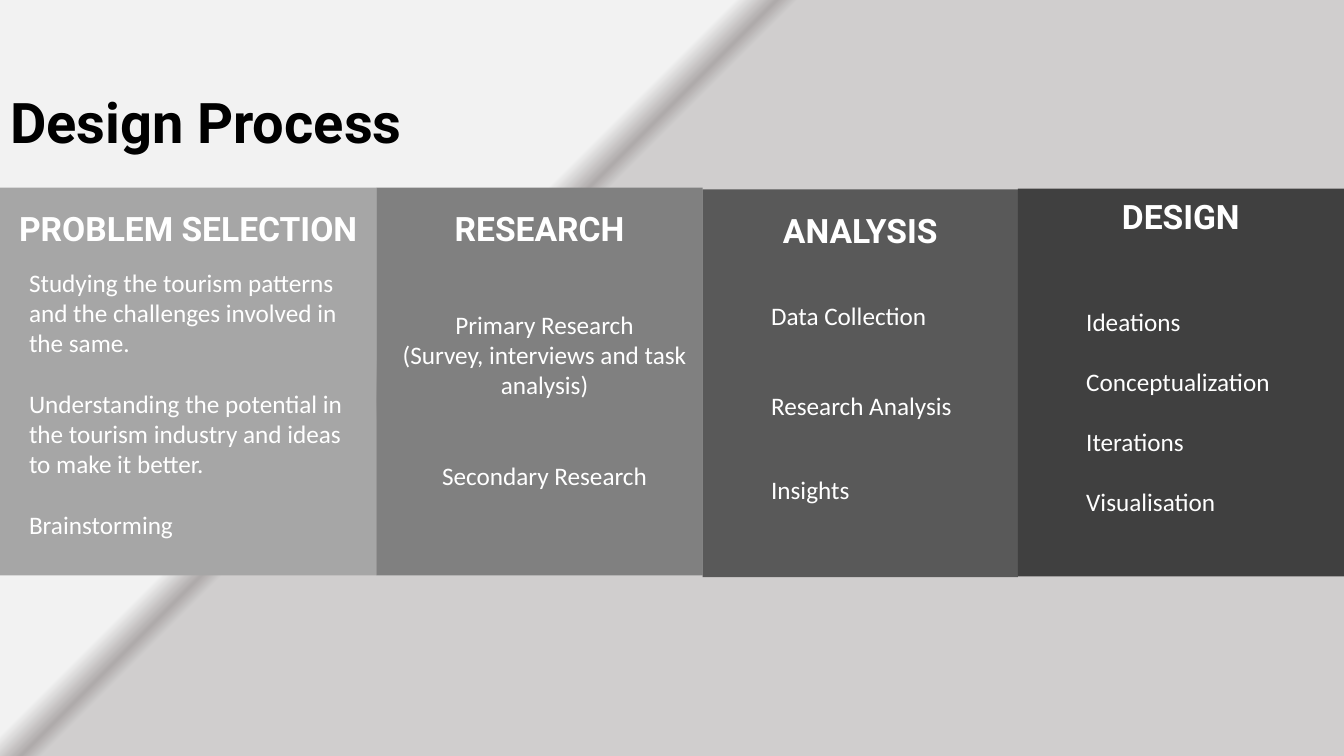
from pptx import Presentation
from pptx.dml.color import RGBColor
from pptx.enum import shapes, text
from pptx.oxml import parse_xml
from pptx.oxml.ns import nsdecls
from pptx.util import Pt

BLACK = RGBColor(0, 0, 0)
WHITE = RGBColor(0xFF, 0xFF, 0xFF)
GRAYS = [RGBColor(v, v, v) for v in (0xA6, 0x80, 0x59, 0x40)]
BACKGROUND_STOPS = [(35, "F2F2F2"), (37, "AFABAB"), (38, "D0CECE")]
LEFT, CENTER = text.PP_ALIGN.LEFT, text.PP_ALIGN.CENTER


def format_run(p, font, size, color, bold):
    f = p.runs[0].font
    f.name, f.size, f.bold = font, Pt(size), bold
    f.color.rgb = color


prs = Presentation()
prs.slide_width, prs.slide_height = Pt(960), Pt(540)
s = prs.slides.add_slide(prs.slide_layouts[5])

# Diagonal background gradient
fill = s.background.fill
fill.gradient()
fill.gradient_angle = 315
stops = fill.gradient_stops._gsLst
for stop in list(stops):
    stops.remove(stop)
for position, color in BACKGROUND_STOPS:
    stops.append(parse_xml(
        f'<a:gs {nsdecls("a")} pos="{position * 1000}"><a:srgbClr val="{color}"/></a:gs>'))

# Title
title = s.shapes.title
title.left, title.top, title.width, title.height = Pt(0), Pt(64.7), Pt(960), Pt(60)
tf = title.text_frame
tf.text = "Design Process"
tf.vertical_anchor = text.MSO_ANCHOR.TOP
p = tf.paragraphs[0]
p.alignment, p.line_spacing = LEFT, 0.9
format_run(p, "Roboto", 40, BLACK, True)

# Process columns: heading, top, width, top inset, indent, alignment,
# then each item with the space before it
columns = [
    ("PROBLEM SELECTION", 134, 268.9, 14.5, 13.7, LEFT, [
        ("Studying the tourism patterns and the challenges involved in the same.", 13.6),
        ("Understanding the potential in the tourism industry and ideas to make it better.", 21.5),
        ("Brainstorming", 21.5)]),
    ("RESEARCH", 134, 233, 14.5, 7.2, CENTER, [
        ("Primary Research", 43.5),
        ("(Survey, interviews and task analysis)", 0),
        ("Secondary Research", 43)]),
    ("ANALYSIS", 135.2, 225.1, 14.8, 41.8, LEFT, [
        ("Data Collection", 35.5),
        ("Research Analysis", 43),
        ("Insights", 38)]),
    ("DESIGN", 134.8, 233, 5.3, 41.8, LEFT, [
        ("Ideations", 50),
        ("Conceptualization", 21.3),
        ("Iterations", 21.3),
        ("Visualisation", 21.3)]),
]
left = 0
for gray, (heading, top, width, inset, indent, align, items) in zip(GRAYS, columns):
    sp = s.shapes.add_shape(shapes.MSO_SHAPE.RECTANGLE, Pt(left), Pt(top), Pt(width), Pt(277))
    left += width
    sp.shadow.inherit = False
    sp.fill.solid()
    sp.fill.fore_color.rgb = gray
    sp.line.fill.background()
    tf = sp.text_frame
    tf.word_wrap = True
    tf.vertical_anchor = text.MSO_ANCHOR.TOP
    tf.margin_top = Pt(inset)
    p = tf.paragraphs[0]
    p.text, p.alignment = heading, CENTER
    format_run(p, "Roboto", 24, WHITE, True)
    for item, space in items:
        p = tf.add_paragraph()
        p.text, p.alignment, p.space_before = item, align, Pt(space)
        p._p.get_or_add_pPr().set("marL", str(Pt(indent)))
        format_run(p, "Calibri", 18, WHITE, False)

prs.save("out.pptx")
